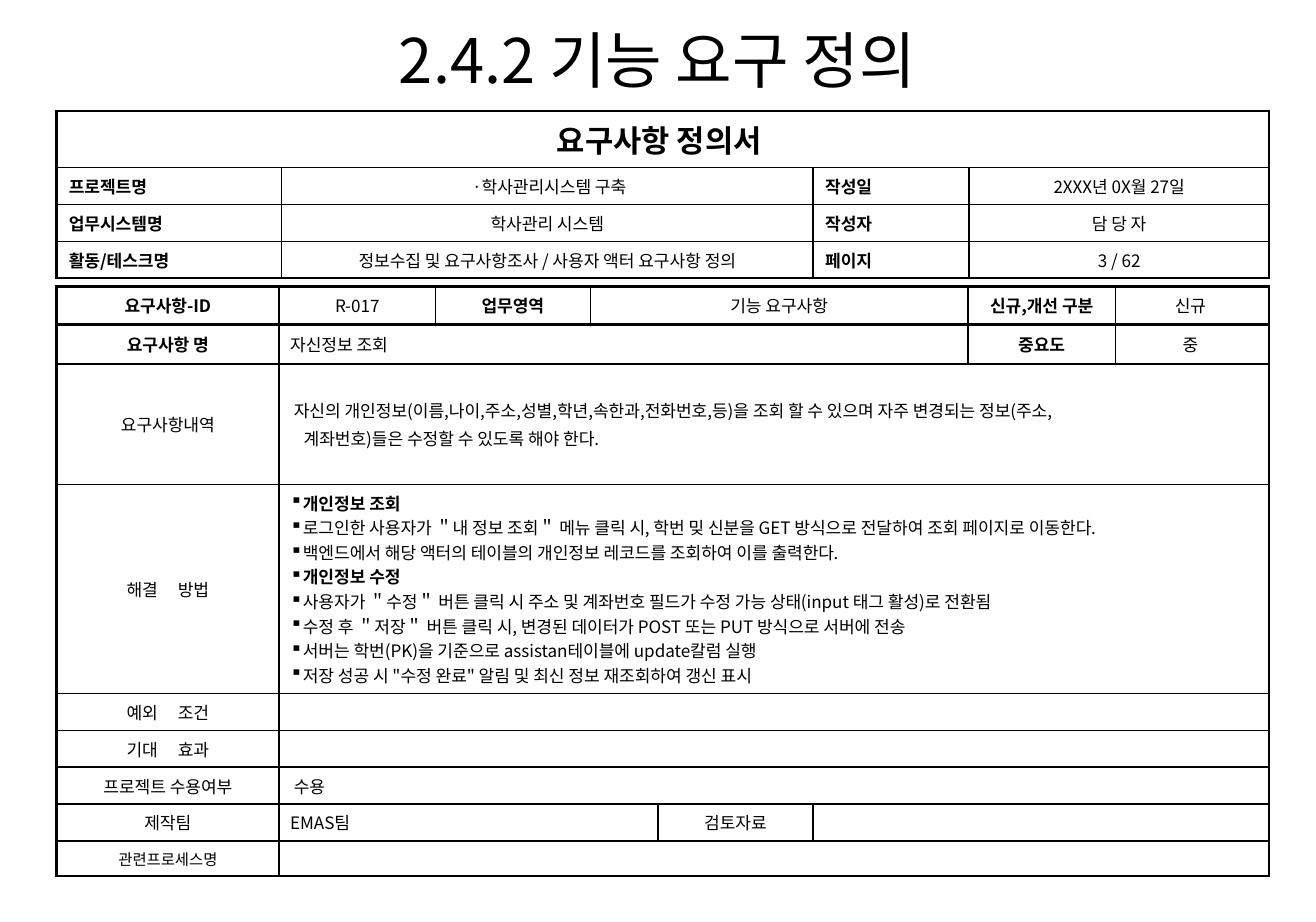
from lxml.etree import SubElement
from pptx import Presentation
from pptx.dml.color import RGBColor
from pptx.enum.text import MSO_ANCHOR, MSO_AUTO_SIZE, PP_ALIGN
from pptx.oxml.ns import qn
from pptx.util import Inches, Pt

FONT = "Noto Sans CJK KR"
INK = "000000"
THIN, THICK = 1, 1.5
LEFT, CENTER = PP_ALIGN.LEFT, PP_ALIGN.CENTER

HEADING = {"bold": True, "align": LEFT}
LABEL = {"bold": True}
BODY = {"align": LEFT}

SUMMARY_COLUMNS = (1.83, 4.32, 1.27, 2.44)
SUMMARY_ROWS = (0.46, 0.3, 0.3, 0.3)
SUMMARY = [
    [("요구사항 정의서 ", 4, {"bold": True, "size": 18})],
    [("프로젝트명", 1, HEADING), (" ·학사관리시스템 구축", 1, {}),
     ("작성일", 1, HEADING), ("2XXX년 0X월 27일", 1, {})],
    [("업무시스템명", 1, HEADING), ("학사관리 시스템", 1, {}),
     ("작성자", 1, HEADING), ("담 당 자", 1, {})],
    [("활동/테스크명", 1, HEADING),
     ("정보수집 및 요구사항조사 / 사용자 액터 요구사항 정의", 1, {}),
     ("페이지", 1, HEADING), ("3 / 62", 1, {})],
]

DETAIL = """자신의 개인정보(이름,나이,주소,성별,학년,속한과,전화번호,등)을 조회 할 수 있으며 자주 변경되는 정보(주소,
계좌번호)들은 수정할 수 있도록 해야 한다."""
SOLUTION = """개인정보 조회
로그인한 사용자가 ＂내 정보 조회＂ 메뉴 클릭 시, 학번 밎 신분을 GET 방식으로 전달하여 조회 페이지로 이동한다.
백엔드에서 해당 액터의 테이블의 개인정보 레코드를 조회하여 이를 출력한다.
개인정보 수정
사용자가 ＂수정＂ 버튼 클릭 시 주소 및 계좌번호 필드가 수정 가능 상태(input 태그 활성)로 전환됨
수정 후 ＂저장＂ 버튼 클릭 시, 변경된 데이터가 POST 또는 PUT 방식으로 서버에 전송
서버는 학번(PK)을 기준으로 assistan테이블에 update칼럼 실행
저장 성공 시 "수정 완료" 알림 및 최신 정보 재조회하여 갱신 표시"""

REQUIREMENT_COLUMNS = (1.81, 1.27, 1.26, 0.55, 1.26, 1.26, 1.2, 1.25)
REQUIREMENT_ROWS = (0.31, 0.32, 0.98, 1.7, 0.29, 0.29, 0.29, 0.3, 0.28)
REQUIREMENT = [
    [("요구사항-ID", 1, LABEL), ("R-017", 1, {}), ("업무영역", 1, LABEL),
     ("기능 요구사항", 3, {}), ("신규,개선 구분", 1, LABEL), ("신규 ", 1, {})],
    [("요구사항 명", 1, LABEL), ("자신정보 조회", 5, BODY),
     ("중요도", 1, LABEL), ("중 ", 1, {})],
    [("요구사항내역", 1, {}),
     (DETAIL, 7, {"align": LEFT, "indents": (0.03, 0.11), "before": 2})],
    [("해결 방법", 1, {"word_gap": 9.4}),
     (SOLUTION, 7, {"align": LEFT, "bullet": "▪", "bold_lines": (0, 3)})],
    [("예외 조건", 1, {"word_gap": 9.4}), ("", 7, {})],
    [("기대 효과", 1, {"word_gap": 9.4}), ("", 7, {})],
    [("프로젝트 수용여부", 1, {}), ("수용", 7, {"align": LEFT, "indents": (0.03,)})],
    [("제작팀", 1, {}), ("EMAS팀", 3, BODY), ("검토자료", 1, {}), ("", 3, {})],
    [("관련프로세스명", 1, {"size": 9}), ("", 7, {})],
]


def color(code):
    """Turn a hex string into a colour."""
    return RGBColor.from_string(code)


def write(frame, text, size=10, bold=False, align=CENTER, before=0, indents=(),
          bullet=None, bold_lines=(), word_gap=0):
    """Write one paragraph per line of text in the given format."""
    for number, line in enumerate(text.split("\n")):
        paragraph = frame.add_paragraph() if number else frame.paragraphs[0]
        properties = paragraph._p.get_or_add_pPr()
        if bullet:
            properties.set("marL", "0")
            properties.set("indent", "0")
            SubElement(properties, qn("a:buChar"), char=bullet)
        if indents:
            properties.set("marL", str(Inches(indents[number])))
        paragraph.alignment = align
        paragraph.space_before = Pt(before if number else 0)
        if not line:
            SubElement(paragraph._p, qn("a:endParaRPr"), sz=str(size * 100))
        for part in line.partition(" ") if word_gap else (line,):
            if not part:
                continue
            run = paragraph.add_run()
            run.text = part
            run.font.size = Pt(size)
            run.font.bold = bold or number in bold_lines
            run.font.name = FONT
            run.font.color.rgb = color(INK)
            character = run._r.get_or_add_rPr()
            SubElement(character, qn("a:ea"), typeface=FONT)
            if part == " ":
                character.set("spc", str(round(word_gap * 100)))


def outline(cell, widths):
    """Draw the left, right, top and bottom borders of a cell, then clear its fill."""
    properties = cell._tc.get_or_add_tcPr()
    for side, width in zip(("lnL", "lnR", "lnT", "lnB"), widths):
        border = SubElement(properties, qn(f"a:{side}"), w=str(Pt(width)))
        fill = SubElement(border, qn("a:solidFill"))
        SubElement(fill, qn("a:srgbClr"), val=INK)
    cell.fill.background()


def add_form(slide, box, columns, rows, content, side_margin, thick_rules=()):
    """Place a ruled form whose columns and rows share out the box."""
    left, top, width, height = (Inches(length) for length in box)
    form = slide.shapes.add_table(len(rows), len(columns), left, top, width, height).table
    form.first_row = form.horz_banding = False
    for column, share in zip(form.columns, columns):
        column.width = round(width * share / sum(columns))
    for row, share in zip(form.rows, rows):
        row.height = round(height * share / sum(rows))
    thick_rules = {0, len(rows), *thick_rules}
    for row, entries in enumerate(content):
        start = 0
        for text, span, look in entries:
            end = start + span
            edges = (start == 0, end == len(columns), row in thick_rules, row + 1 in thick_rules)
            widths = [THICK if edge else THIN for edge in edges]
            for column in range(start, end):
                outline(form.cell(row, column), widths)
            cell = form.cell(row, start)
            if span > 1:
                cell.merge(form.cell(row, end - 1))
            cell.vertical_anchor = MSO_ANCHOR.MIDDLE
            cell.margin_left = cell.margin_right = Inches(side_margin)
            cell.margin_top = cell.margin_bottom = Inches(0.05)
            write(cell.text_frame, text, **look)
            start = end


def add_title(slide, box, text):
    """Move the title placeholder into the box and write the title."""
    title = slide.shapes.title
    title.left, title.top, title.width, title.height = (Inches(length) for length in box)
    frame = title.text_frame
    frame.word_wrap = True
    frame.auto_size = MSO_AUTO_SIZE.NONE
    frame.vertical_anchor = MSO_ANCHOR.TOP
    write(frame, text, size=36)
    frame.paragraphs[0].line_spacing = 1.1


def main():
    """Build the requirement definition slide."""
    deck = Presentation()
    deck.slide_width, deck.slide_height = Inches(10.71), Inches(7.5)
    slide = deck.slides.add_slide(deck.slide_layouts[5])
    add_title(slide, (1.79, 0.07, 7.12, 1.44), "2.4.2 기능 요구 정의")
    add_form(slide, (0.46, 0.9, 9.87, sum(SUMMARY_ROWS)),
             SUMMARY_COLUMNS, SUMMARY_ROWS, SUMMARY, 0.1)
    add_form(slide, (0.46, 2.33, 9.87, sum(REQUIREMENT_ROWS)),
             REQUIREMENT_COLUMNS, REQUIREMENT_ROWS, REQUIREMENT, 0.09, thick_rules=(1, 2))
    deck.save("out.pptx")


if __name__ == "__main__":
    main()
